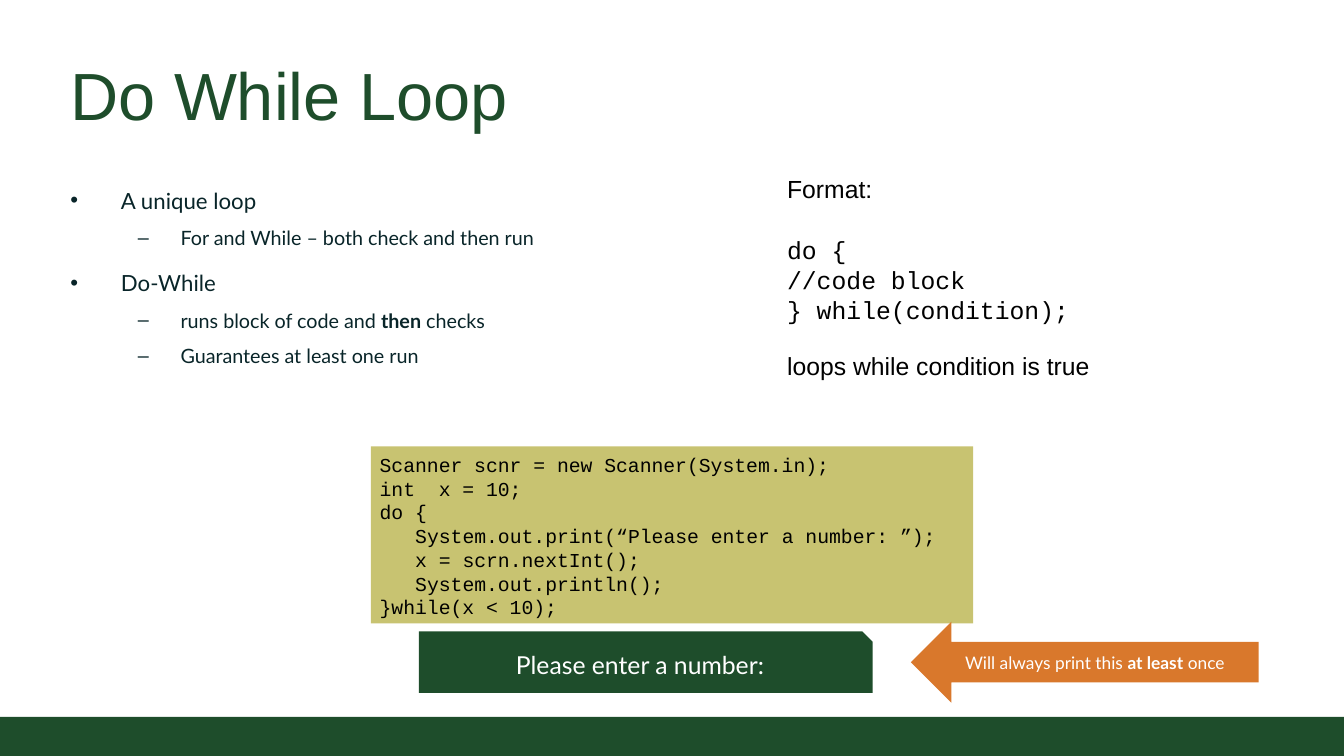
from pptx import Presentation
from pptx.dml.color import RGBColor as Rgb
from pptx.enum.shapes import MSO_SHAPE as Shape
from pptx.enum.text import MSO_ANCHOR as Anchor, MSO_AUTO_SIZE as AutoSize, PP_ALIGN as Align
from pptx.util import Pt

PX = 9144
COLORS = {"green": "1E4D2B", "olive": "C8C371", "orange": "D9782C",
          "ink": "092529", "black": "000000", "white": "FFFFFF"}


def fit(box, bounds, insets=(10, 10), anchor=Anchor.TOP):
    for name, value in zip(("left", "top", "width", "height"), bounds):
        setattr(box, name, value * PX)
    frame = box.text_frame
    side, top = insets
    settings = {"word_wrap": True, "auto_size": AutoSize.NONE, "vertical_anchor": anchor,
                "margin_left": side * PX, "margin_right": side * PX,
                "margin_top": top * PX, "margin_bottom": top * PX}
    for name, value in settings.items():
        setattr(frame, name, value)
    return frame


def write(frame, index, text, size, font, color, indent=(0, 0), **settings):
    para = frame.paragraphs[0] if index == 0 else frame.add_paragraph()
    for name, value in {"alignment": Align.LEFT, **settings}.items():
        setattr(para, name, value)
    margin, hanging = indent
    if margin:
        properties = para._p.get_or_add_pPr()
        properties.set("marL", str(margin * PX))
        properties.set("indent", str(hanging * PX))
    for part, words in enumerate(text.split("**")):
        span = para.add_run()
        span.text = words
        for name, value in {"size": Pt(size), "name": font, "bold": part % 2 == 1}.items():
            setattr(span.font, name, value)
        span.font.color.rgb = Rgb.from_string(COLORS[color])


deck = Presentation()
deck.slide_width, deck.slide_height = 1511 * PX, 850 * PX
page = deck.slides.add_slide(deck.slide_layouts[1])
title, body = page.placeholders

frame = fit(title, (69, 49, 1374, 111), anchor=Anchor.BOTTOM)
write(frame, 0, "Do While Loop", 54, "Arial", "green")

points = [
    (0, "A unique loop"),
    (1, "For and While – both check and then run"),
    (0, "Do-While"),
    (1, "runs block of code and **then** checks"),
    (1, "Guarantees at least one run"),
]
levels = [
    {"size": 18, "indent": (57, -57), "space_before": Pt(6)},
    {"size": 16, "indent": (124, -48), "space_before": Pt(0)},
]
frame = fit(body, (69, 194, 567, 242))
for index, (level, text) in enumerate(points):
    write(frame, index, text, font="Lato", color="ink", level=level,
          line_spacing=1.2, space_after=Pt(6), **levels[level])

syntax = [
    ("Format:", "Arial", 0),
    ("do {", "Courier New", 26),
    ("//code block", "Courier New", 0),
    ("} while(condition);", "Courier New", 0),
    ("loops while condition is true", "Arial", 22),
]
frame = fit(page.shapes.add_textbox(0, 0, PX, PX), (875, 190, 405, 246), (10, 5))
for index, (text, font, gap) in enumerate(syntax):
    write(frame, index, text, 20, font, "black", line_spacing=Pt(24), space_before=Pt(gap))

panels = {}
for name, kind, color, bounds, insets, anchor in [
    ("bar", Shape.RECTANGLE, "green", (0, 806, 1511, 44), (10, 5), Anchor.MIDDLE),
    ("code", Shape.RECTANGLE, "olive", (417, 502, 677, 199), (10, 7), Anchor.TOP),
    ("output", Shape.SNIP_1_RECTANGLE, "green", (471, 710, 510, 69), (30, 20), Anchor.MIDDLE),
    ("remark", Shape.LEFT_ARROW, "orange", (1024, 699, 391, 91), (30, 20), Anchor.MIDDLE),
]:
    box = page.shapes.add_shape(kind, 0, 0, PX, PX)
    box.shadow.inherit = False
    box.fill.solid()
    box.fill.fore_color.rgb = Rgb.from_string(COLORS[color])
    box.line.fill.background()
    panels[name] = fit(box, bounds, insets, anchor)

code = [
    (0, "Scanner scnr = new Scanner(System.in);"),
    (0, "int  x = 10;"),
    (0, "do {"),
    (40, "System.out.print(“Please enter a number: ”);"),
    (40, "x = scrn.nextInt();"),
    (40, "System.out.println();"),
    (0, "}while(x < 10);"),
]
for index, (margin, text) in enumerate(code):
    write(panels["code"], index, text, 16, "Courier New", "black", (margin, 0),
          line_spacing=Pt(19.2))

for name, text, size in [
    ("output", "Please enter a number: ", 20),
    ("remark", "Will always print this **at least** once", 14),
]:
    write(panels[name], 0, text, size, "Lato", "white", alignment=Align.CENTER)

deck.save("out.pptx")
